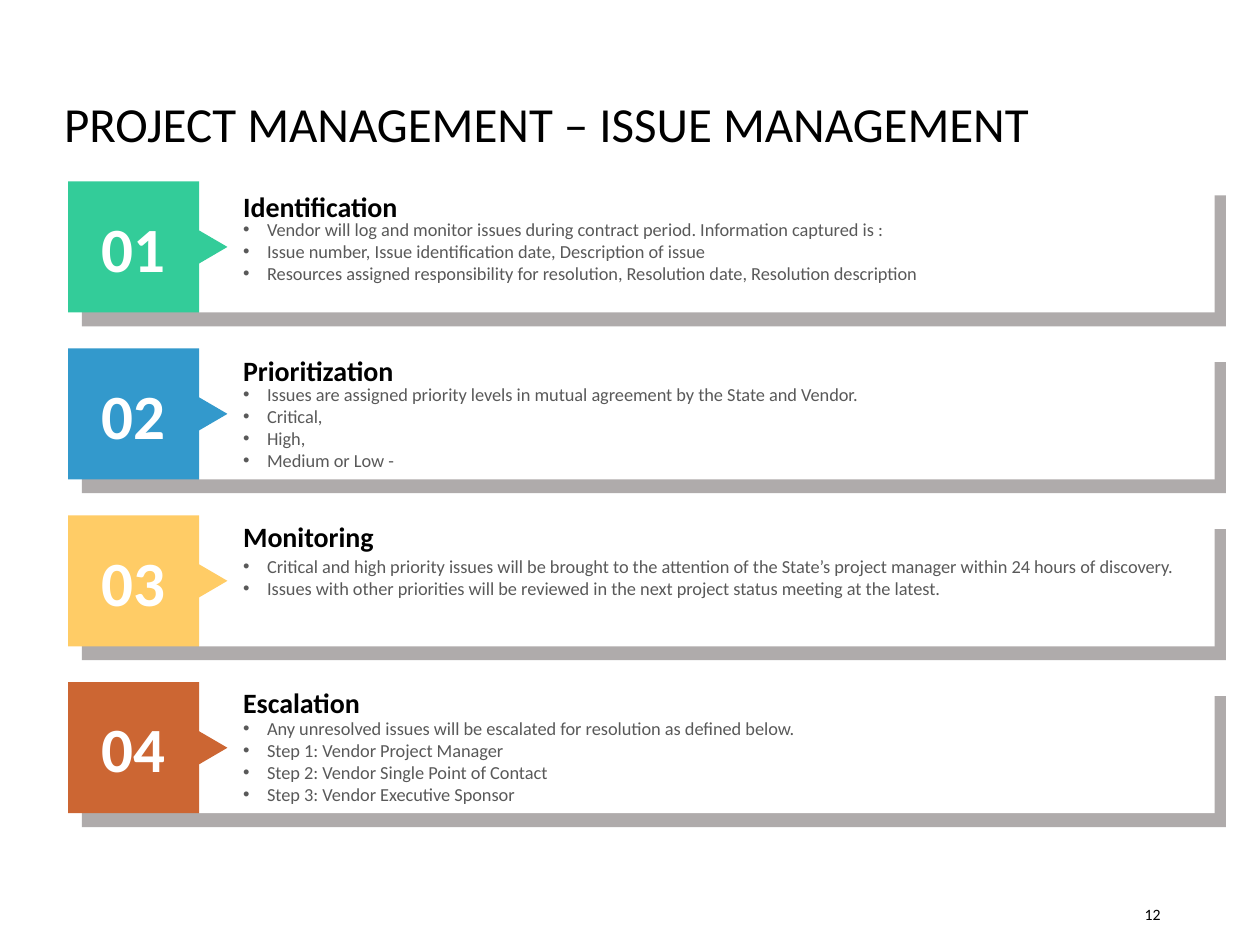
from dataclasses import dataclass

from lxml import etree
from pptx import Presentation
from pptx import util as u
from pptx.dml.color import RGBColor
from pptx.enum import shapes, text
from pptx.oxml.ns import qn

COLORS = {
    "black": "000000", "white": "FFFFFF", "body": "595959", "shadow": "AFABAB",
    "green": "33CC99", "blue": "3399CC", "yellow": "FFCC66", "orange": "CC6633",
}
FONT = "Calibri"
FIRST_TOP, ROW_STEP, SIDE = 1.44, 1.325, 1.04
BADGE_LEFT, PANEL_LEFT, TEXT_LEFT = 0.54, 1.58, 1.93
BULLET_INDENT = 0.19


@dataclass(frozen=True)
class Stage:
    heading: str
    color: str
    heading_top: float
    points_top: float
    points_width: float
    points: tuple[str, ...]


STAGES = (
    Stage("Identification", "green", 1.45, 1.68, 7.52, (
        "Vendor will log and monitor issues during contract period. Information captured is :",
        "Issue number, Issue identification date, Description of issue",
        "Resources assigned responsibility for resolution, Resolution date, Resolution description",
    )),
    Stage("Prioritization", "blue", 2.75, 2.99, 7.64, (
        "Issues are assigned priority levels in mutual agreement by the State and Vendor.",
        "Critical,",
        "High,",
        "Medium or Low -",
    )),
    Stage("Monitoring", "yellow", 4.07, 4.36, 7.52, (
        "Critical and high priority issues will be brought to the attention of the "
        "State’s project manager within 24 hours of discovery.",
        "Issues with other priorities will be reviewed in the next project status "
        "meeting at the latest.",
    )),
    Stage("Escalation", "orange", 5.39, 5.64, 7.64, (
        "Any unresolved issues will be escalated for resolution as defined below.",
        "Step 1: Vendor Project Manager",
        "Step 2: Vendor Single Point of Contact",
        "Step 3: Vendor Executive Sponsor",
    )),
)


def add_bullet(paragraph) -> None:
    """Give a paragraph a hanging round bullet."""
    properties = paragraph._p.get_or_add_pPr()
    indent = u.Inches(BULLET_INDENT)
    properties.set("marL", str(indent))
    properties.set("indent", str(-indent))
    etree.SubElement(properties, qn("a:buFont")).set("typeface", "Arial")
    etree.SubElement(properties, qn("a:buChar")).set("char", "•")


def write(frame, *lines: str, size: float, color: str = "black", bold: bool = False,
          align=text.PP_ALIGN.LEFT, anchor=text.MSO_ANCHOR.MIDDLE,
          insets=(0.1, 0.05, 0.1, 0.05), spacing: float = 1.0, bullets: bool = False) -> None:
    """Fill a text frame with one formatted paragraph per line."""
    frame.word_wrap = True
    frame.vertical_anchor = anchor
    frame.margin_left, frame.margin_top, frame.margin_right, frame.margin_bottom = map(
        u.Inches, insets)
    for index, line in enumerate(lines):
        paragraph = frame.add_paragraph() if index else frame.paragraphs[0]
        paragraph.alignment = align
        paragraph.line_spacing = spacing
        if bullets:
            add_bullet(paragraph)
        run = paragraph.add_run()
        run.text = line
        run.font.name = FONT
        run.font.size = u.Pt(size)
        run.font.bold = bold
        run.font.color.rgb = RGBColor.from_string(COLORS[color])


def add_frame(slide, left: float, top: float, width: float, height: float):
    """Add a text box and return its text frame."""
    return slide.shapes.add_textbox(*map(u.Inches, (left, top, width, height))).text_frame


def add_block(slide, left: float, top: float, width: float, height: float, color: str,
              kind=shapes.MSO_SHAPE.RECTANGLE):
    """Add a flat filled shape without an outline."""
    block = slide.shapes.add_shape(kind, *map(u.Inches, (left, top, width, height)))
    block.shadow.inherit = False
    block.fill.solid()
    block.fill.fore_color.rgb = RGBColor.from_string(COLORS[color])
    block.line.fill.background()
    return block


def draw_stage(slide, index: int, stage: Stage) -> None:
    """Draw one numbered stage with its panel, pointer and text."""
    top = FIRST_TOP + index * ROW_STEP
    add_block(slide, 0.65, top + 0.11, 9.08, SIDE, "shadow")
    add_block(slide, PANEL_LEFT, top, 8.06, SIDE, "white")
    badge = add_block(slide, BADGE_LEFT, top, SIDE, SIDE, stage.color)
    write(badge.text_frame, f"{index + 1:02}", size=36, color="white", bold=True,
          align=text.PP_ALIGN.CENTER, insets=(0.07, 0.04, 0.07, 0.04))
    pointer = add_block(slide, 1.48, top + 0.37, 0.35, 0.3, stage.color,
                        shapes.MSO_SHAPE.ISOSCELES_TRIANGLE)
    pointer.rotation = 90
    write(add_frame(slide, TEXT_LEFT, stage.heading_top, 5.4, 0.37), stage.heading,
          size=16, bold=True, anchor=text.MSO_ANCHOR.BOTTOM, insets=(0, 0.05, 0.1, 0.05))
    points_height = 0.1 + 0.18 * len(stage.points)
    write(add_frame(slide, TEXT_LEFT, stage.points_top, stage.points_width, points_height),
          *stage.points, size=10.5, color="body", align=text.PP_ALIGN.JUSTIFY,
          anchor=text.MSO_ANCHOR.TOP, insets=(0, 0.05, 0, 0.05), bullets=True)


def main() -> None:
    """Build the issue management slide."""
    deck = Presentation()
    deck.slide_width, deck.slide_height = u.Inches(10), u.Inches(7.5)
    slide = deck.slides.add_slide(deck.slide_layouts[6])
    write(add_frame(slide, 0.41, 0.68, 8.71, 0.65), "PROJECT MANAGEMENT – ISSUE MANAGEMENT",
          size=28, spacing=0.9)
    write(add_frame(slide, 7.06, 7.06, 2.25, 0.4), "12", size=9, align=text.PP_ALIGN.RIGHT)
    for index, stage in enumerate(STAGES):
        draw_stage(slide, index, stage)
    deck.save("out.pptx")


if __name__ == "__main__":
    main()
